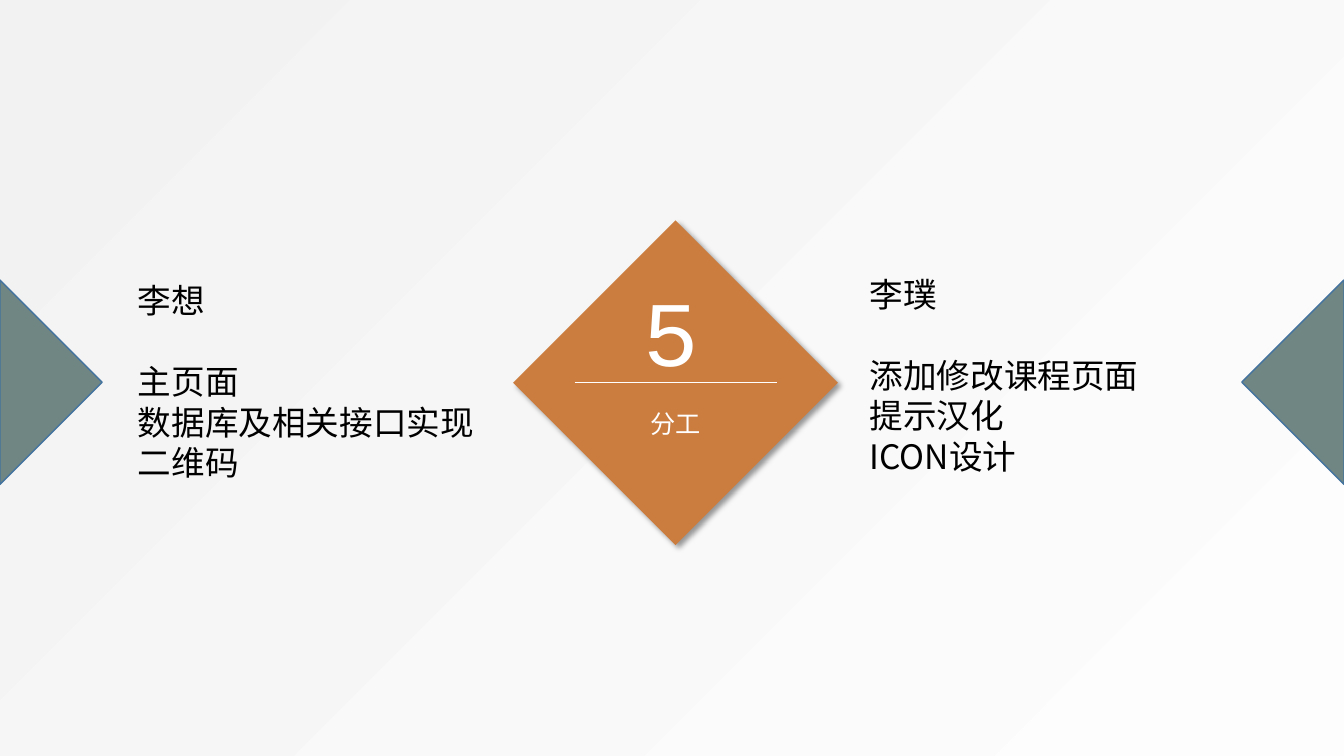
from lxml import etree
from pptx import Presentation
from pptx.dml.color import RGBColor
from pptx.enum import shapes, text
from pptx.oxml import parse_xml
from pptx.oxml.ns import qn
from pptx.util import Pt

NUMBER, TITLE = "5", "分工"
MEMBERS = [
    ((91.4, 196.6, 257, 152.6), ["李想", "主页面", "数据库及相关接口实现", "二维码"]),
    ((614.2, 192.2, 208, 152.6), ["李璞", "添加修改课程页面", "提示汉化", "ICON设计"]),
]
THEME = {
    "orange": "CB7D40", "green": "6F8683", "edge": "43739E",
    "white": "FFFFFF", "black": "000000", "bg": ("FDFDFD", "F2F2F2"),
    "number_font": "Courier New", "font": "Noto Sans CJK SC",
    "number": 66, "title": 18, "body": 24, "name_gap": 29,
}
W, H = 960, 540
MID_Y, ARROW = 273, 73
DIAMOND = (366.5, 157.4, 232, 232)
NS = "http://schemas.openxmlformats.org/drawingml/2006/main"


def color(key):
    return RGBColor.from_string(THEME[key])


def pts(*values):
    return [Pt(v) for v in values]


def add_effects(sp, content=""):
    sp._element.spPr.append(
        parse_xml(f'<a:effectLst xmlns:a="{NS}">{content}</a:effectLst>'))


def add_text(parent, box, lines, size, ink, font, align=text.PP_ALIGN.LEFT, gap=0):
    tf = parent.add_textbox(*pts(*box)).text_frame
    tf.word_wrap = False
    tf.auto_size = text.MSO_AUTO_SIZE.SHAPE_TO_FIT_TEXT
    for i, line in enumerate(lines):
        p = tf.add_paragraph() if i else tf.paragraphs[0]
        p.text = line
        p.alignment = align
        if i == 1:
            p.space_before = Pt(gap)
        p.font.size = Pt(THEME[size])
        p.font.name = THEME[font]
        p.font.color.rgb = color(ink)
        latin = p._p.pPr.find(".//" + qn("a:latin"))
        latin.addnext(etree.Element(qn("a:ea"), typeface=THEME[font]))


def add_side_arrow(s, edge_x, tip_x):
    fb = s.shapes.build_freeform(*pts(edge_x, MID_Y - ARROW))
    fb.add_line_segments([pts(tip_x, MID_Y), pts(edge_x, MID_Y + ARROW)])
    sp = fb.convert_to_shape()
    sp.shadow.inherit = False
    sp.fill.solid()
    sp.fill.fore_color.rgb = color("green")
    sp.line.color.rgb = color("edge")
    sp.line.width = Pt(1)


def set_background(s):
    fill = s.background.fill
    fill.gradient()
    for stop, value in zip(fill.gradient_stops, THEME["bg"]):
        stop.color.rgb = RGBColor.from_string(value)
    lin = s._element.find(".//" + qn("a:lin"))
    lin.getparent().replace(lin, parse_xml(
        f'<a:path xmlns:a="{NS}" path="circle">'
        '<a:fillToRect l="100000" t="100000"/></a:path>'))


def add_badge(s):
    group = s.shapes.add_group_shape().shapes
    sp = group.add_shape(shapes.MSO_SHAPE.DIAMOND, *pts(*DIAMOND))
    sp.fill.solid()
    sp.fill.fore_color.rgb = color("orange")
    sp.line.fill.background()
    add_effects(sp, f'<a:outerShdw blurRad="{Pt(4)}" dist="{Pt(3)}" dir="2700000" '
                    'algn="tl" rotWithShape="0"><a:srgbClr val="000000">'
                    '<a:alpha val="40000"/></a:srgbClr></a:outerShdw>')
    add_text(group, (452.9, 192.2, 54.7, 87.1), [NUMBER], "number", "white", "number_font")
    rule = group.add_connector(shapes.MSO_CONNECTOR.STRAIGHT, *pts(410.4, MID_Y, 555.1, MID_Y))
    rule.line.color.rgb = color("white")
    rule.line.width = Pt(0.5)
    add_effects(rule)
    add_text(group, (457.2, 288, 51.1, 28.8), [TITLE], "title", "white", "font",
             text.PP_ALIGN.CENTER)


def main():
    prs = Presentation()
    prs.slide_width, prs.slide_height = pts(W, H)
    s = prs.slides.add_slide(prs.slide_layouts[6])
    set_background(s)
    add_side_arrow(s, W, W - ARROW)
    add_badge(s)
    add_side_arrow(s, 0, ARROW)
    for box, lines in MEMBERS:
        add_text(s.shapes, box, lines, "body", "black", "font", gap=THEME["name_gap"])
    prs.save("out.pptx")


if __name__ == "__main__":
    main()
